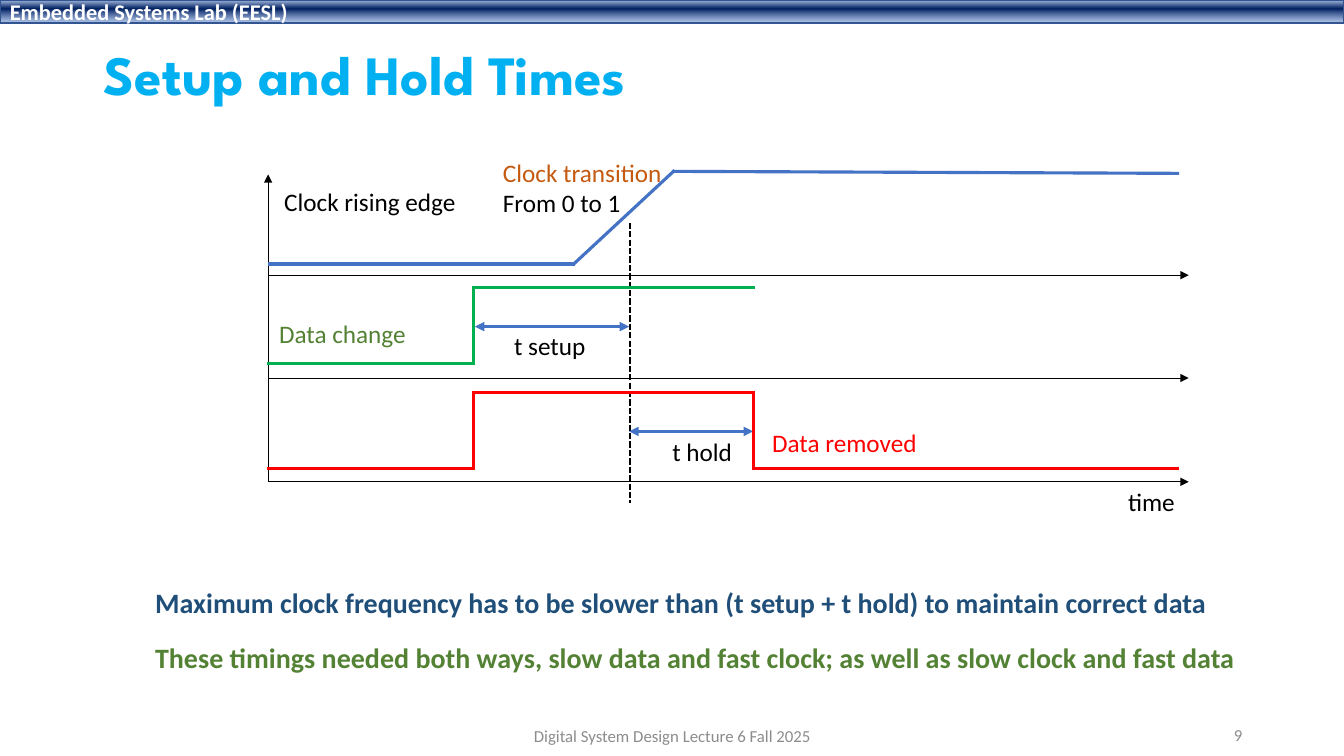
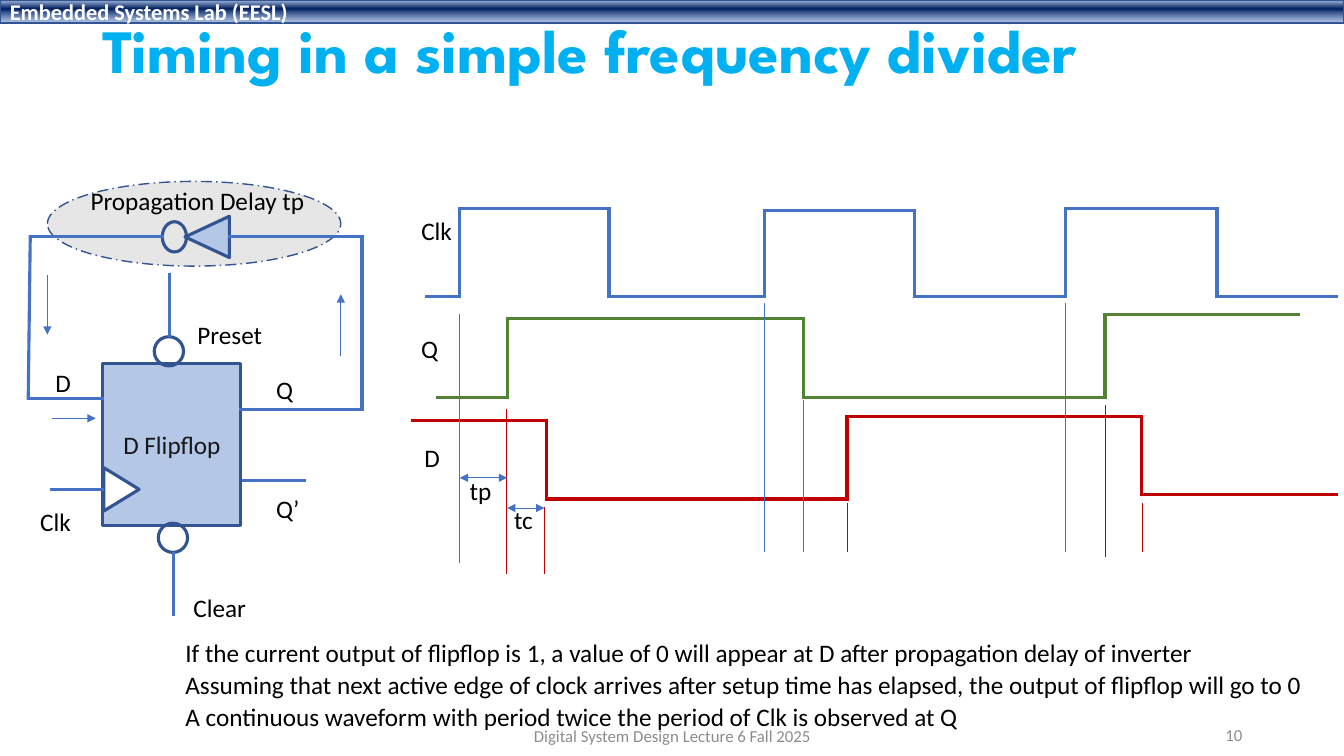
from copy import deepcopy
from itertools import pairwise

from lxml.etree import SubElement
from pptx import Presentation
from pptx.dml.color import RGBColor
from pptx.enum.dml import MSO_LINE_DASH_STYLE as DASH
from pptx.enum.shapes import MSO_CONNECTOR, MSO_SHAPE
from pptx.enum.text import MSO_ANCHOR as ANCHOR, MSO_AUTO_SIZE, PP_ALIGN as ALIGN
from pptx.oxml.ns import qn
from pptx.util import Inches, Pt

rgb = RGBColor.from_string

BLACK, WHITE, GREY = "000000", "FFFFFF", "8C8C8C"
BLUE, OUTLINE, PALE_BLUE, SKY = "4472C4", "325491", "B4C7E7", "00B0F0"
GREEN, LEAF, RED, DARK_RED = "00B050", "548235", "FF0000", "C00000"
THICK, THIN = 2.25, 0.5


def write_text(shape, text, size=18, color=BLACK, bold=False, font="Calibri",
               align=ALIGN.LEFT, anchor=ANCHOR.MIDDLE, wrap=True, spacing=1.0):
    frame = shape.text_frame
    frame.text = text
    frame.word_wrap = wrap
    frame.vertical_anchor = anchor
    frame.auto_size = MSO_AUTO_SIZE.NONE if wrap else MSO_AUTO_SIZE.SHAPE_TO_FIT_TEXT
    for paragraph in frame.paragraphs:
        paragraph.alignment = align
        paragraph.line_spacing = spacing
        for run in paragraph.runs:
            run.font.name, run.font.size, run.font.bold = font, Pt(size), bold
            run.font.color.rgb = rgb(color)


def draw_path(slide, points, color=BLUE, width=THICK, dash=None, arrows=()):
    """Join the points with straight lines; arrows names headEnd and/or tailEnd."""
    for start, end in pairwise(points):
        connector = slide.shapes.add_connector(
            MSO_CONNECTOR.STRAIGHT, *map(Inches, (*start, *end)))
        line = connector.line
        line.color.rgb = rgb(color)
        line.width = Pt(width)
        if dash:
            line.dash_style = dash
        properties = connector._element.spPr
        outline = properties.find(qn("a:ln"))
        if len(points) > 2:
            outline.set("cap", "sq")
        for arrow in arrows:
            SubElement(outline, qn(f"a:{arrow}"), type="triangle")
        SubElement(properties, qn("a:effectLst"))


presentation = Presentation()
presentation.slide_width = Inches(13.33)
presentation.slide_height = Inches(7.5)

# Band, title and footer of each slide
slides = []
for title, size, box, number in [
    ("Setup and Hold Times", 39.6, (0.93, 0.4, 11.5, 0.74), 9),
    ("Timing in a simple frequency divider", 44, (0.92, 0.15, 11.5, 0.77), 10),
]:
    slide = presentation.slides.add_slide(presentation.slide_layouts[6])
    slides.append(slide)

    band = slide.shapes.add_shape(MSO_SHAPE.RECTANGLE, 0, 0, Inches(13.33), Inches(0.23))
    band.shadow.inherit = False
    band.line.color.rgb = rgb(OUTLINE)
    band.line.width = Pt(1)
    band.fill.gradient()
    band.fill.gradient_angle = 270
    stop_list = band._element.spPr.find(f".//{qn('a:gsLst')}")
    stop_list.append(deepcopy(stop_list[-1]))
    for stop, position, color in zip(band.fill.gradient_stops, (0.02, 0.38, 0.93),
                                     ("ABC0E4", "002060", "7E9ED6")):
        stop.position = position
        stop.color.rgb = rgb(color)
    SubElement(stop_list[-1][0], qn("a:alpha"), val="64000")
    write_text(band, "Embedded Systems Lab (EESL)", size=16, color=WHITE, bold=True)

    title_box = slide.shapes.add_textbox(*map(Inches, box))
    write_text(title_box, title, size=size, color=SKY, bold=True,
               font="League Spartan", spacing=0.9)
    number_box = slide.shapes.add_textbox(*map(Inches, (9.42, 7.09, 3, 0.4)))
    write_text(number_box, str(number), size=12, color=GREY, align=ALIGN.RIGHT)
    footer_box = slide.shapes.add_textbox(*map(Inches, (4.42, 7.1, 4.5, 0.4)))
    write_text(footer_box, "Digital System Design Lecture 6 Fall 2025", size=12,
               color=GREY, align=ALIGN.CENTER)

setup_slide, divider_slide = slides

# Setup and hold: axes, clock edge and time spans
origin = (2.66, 4.78)
draw_path(setup_slide, [origin, (2.66, 1.73)], BLACK, THIN, arrows=["tailEnd"])
for y in (2.73, 3.75, 4.78):
    draw_path(setup_slide, [(2.66, y), (11.79, y)], BLACK, THIN, arrows=["tailEnd"])
draw_path(setup_slide, [(2.67, 2.62), (5.69, 2.62), (6.68, 1.7), (11.68, 1.72)])
draw_path(setup_slide, [(6.25, 2.21), (6.25, 4.99)], BLACK, 1.5, DASH.SQUARE_DOT)
for left, right, y in [(4.71, 6.24, 3.24), (6.24, 7.47, 4.28)]:
    draw_path(setup_slide, [(left, y), (right, y)], arrows=["headEnd", "tailEnd"])

# Square waves: each level holds between two neighbouring edges
for slide, color, edges, levels in [
    (setup_slide, GREEN, (2.66, 4.7, 7.47), (3.61, 2.85)),
    (setup_slide, RED, (2.66, 4.7, 7.47, 11.68), (4.65, 3.89, 4.65)),
    (divider_slide, BLUE, (4.23, 4.56, 6.04, 7.58, 9.07, 10.57, 12.07, 13.25),
     (2.94, 2.07, 2.94, 2.09, 2.94, 2.07, 2.94)),
    (divider_slide, LEAF, (4.34, 5.03, 7.97, 10.96, 12.88), (3.94, 3.16, 3.94, 3.12)),
    (divider_slide, DARK_RED, (4.09, 5.42, 8.4, 11.32, 13.25), (4.17, 4.95, 4.13, 4.91)),
]:
    points = []
    for (left, right), level in zip(pairwise(edges), levels):
        points += [(left, level), (right, level)]
    draw_path(slide, points, color)

# Divider: thin marker lines under the edges, delay spans
for x, top, bottom, color in [
    (4.56, 3.12, 5.59, BLUE), (7.58, 3.01, 5.48, BLUE),
    (7.97, 3.97, 5.48, BLUE), (10.57, 3.01, 5.48, BLUE),
    (5.02, 4.06, 5.69, DARK_RED), (5.4, 5.03, 5.69, DARK_RED),
    (8.4, 4.99, 5.48, DARK_RED), (10.96, 4.02, 5.53, DARK_RED),
    (11.33, 4.99, 5.48, DARK_RED),
]:
    draw_path(divider_slide, [(x, top), (x, bottom)], color, THIN)
for left, right, y in [(4.56, 5.03, 4.74), (5.03, 5.4, 5.04)]:
    draw_path(divider_slide, [(left, y), (right, y)], width=THIN,
              arrows=["headEnd", "tailEnd"])

# Divider: flipflop, inverter and their bubbles
ELLIPSE, TRIANGLE = MSO_SHAPE.OVAL, MSO_SHAPE.ISOSCELES_TRIANGLE
for kind, box, fill, rotation, width, dash, text in [
    (ELLIPSE, (0.47, 1.8, 2.91, 0.84), "E7E6E6", 0, 1, DASH.LONG_DASH_DOT, ""),
    (MSO_SHAPE.RECTANGLE, (1.02, 3.61, 1.37, 1.6), PALE_BLUE, 0, THICK, None, "D Flipflop"),
    (TRIANGLE, (0.99, 4.68, 0.43, 0.35), WHITE, 90, THICK, None, ""),
    (ELLIPSE, (1.53, 3.34, 0.29, 0.29), None, 0, THICK, None, ""),
    (ELLIPSE, (1.57, 5.19, 0.29, 0.29), None, 0, THICK, None, ""),
    (TRIANGLE, (1.85, 2.13, 0.41, 0.44), PALE_BLUE, 270, THICK, None, ""),
    (ELLIPSE, (1.61, 2.2, 0.24, 0.3), None, 0, THICK, None, ""),
]:
    shape = divider_slide.shapes.add_shape(kind, *map(Inches, box))
    shape.shadow.inherit = False
    shape.rotation = rotation
    shape.line.color.rgb = rgb(OUTLINE)
    shape.line.width = Pt(width)
    if dash:
        shape.line.dash_style = dash
    if fill:
        shape.fill.solid()
        shape.fill.fore_color.rgb = rgb(fill)
    else:
        shape.fill.background()
    if text:
        write_text(shape, text, color="181717", align=ALIGN.CENTER)

# Divider: wires and signal direction arrows
for wire in [
    [(2.39, 4.06), (3.59, 4.06), (3.59, 2.35), (2.28, 2.35)],
    [(1.61, 2.35), (0.3, 2.35), (0.28, 3.95), (1.02, 3.95)],
    [(0.5, 4.86), (1.03, 4.86)],
    [(2.4, 4.77), (3.04, 4.77)],
    [(1.68, 3.34), (1.68, 2.71)],
    [(1.72, 6.11), (1.72, 5.48)],
]:
    draw_path(divider_slide, wire)
for arrow in [
    [(3.38, 3.53), (3.38, 2.92)],
    [(0.47, 2.73), (0.47, 3.32)],
    [(0.52, 4.15), (0.95, 4.15)],
]:
    draw_path(divider_slide, arrow, width=THIN, arrows=["tailEnd"])

# Labels
setup_labels = [
    ("Clock rising edge", 2.72, 1.8, 1.92, BLACK),
    ("Clock transition", 4.89, 1.51, 1.79, "C55A11"),
    ("From 0 to 1", 4.89, 1.81, 1.37, BLACK),
    ("Data change", 2.67, 3.11, 1.47, LEAF),
    ("Data removed", 7.56, 4.19, 1.65, RED),
    ("t setup", 5, 3.23, 0.92, BLACK),
    ("t hold", 6.57, 4.28, 0.8, BLACK),
    ("time", 11.09, 4.78, 0.67, BLACK),
]
divider_labels = [
    ("Clk", 4.08, 2.09, 0.51, BLACK),
    ("Q", 4.08, 3.26, 0.37, BLACK),
    ("D", 4.11, 4.34, 0.36, BLACK),
    ("tp", 4.56, 4.67, 0.42, BLACK),
    ("tc", 5, 4.95, 0.39, BLACK),
    ("Propagation Delay tp", 0.8, 1.79, 2.35, BLACK),
    ("Preset", 1.86, 3.12, 0.85, BLACK),
    ("D", 0.45, 3.59, 0.36, BLACK),
    ("Q", 2.64, 3.66, 0.37, BLACK),
    ("Q’", 2.64, 4.84, 0.44, BLACK),
    ("Clk", 0.3, 4.97, 0.51, BLACK),
    ("Clear", 1.82, 5.83, 0.73, BLACK),
]
for slide, labels in zip(slides, (setup_labels, divider_labels)):
    for text, x, y, width, color in labels:
        label = slide.shapes.add_textbox(*map(Inches, (x, y, width, 0.4)))
        write_text(label, text, color=color, anchor=ANCHOR.TOP, wrap=False)

# Conclusions
for text, y, width, color in [
    ("Maximum clock frequency has to be slower than (t setup + t hold) "
     "to maintain correct data", 5.76, 10.71, "1F4E79"),
    ("These timings needed both ways, slow data and fast clock; "
     "as well as slow clock and fast data", 6.31, 11, LEAF),
]:
    conclusion = setup_slide.shapes.add_textbox(*map(Inches, (1.44, y, width, 0.44)))
    write_text(conclusion, text, size=20, color=color, bold=True,
               anchor=ANCHOR.TOP, wrap=False)
for row, (text, width) in enumerate([
    ("If the current output of flipflop is 1, a value of 0 will appear at D "
     "after propagation delay of inverter", 10.33),
    ("Assuming that next active edge of clock arrives after setup time has elapsed, "
     "the output of flipflop will go to 0", 11.42),
    ("A continuous waveform with period twice the period of Clk is observed at Q", 7.96),
]):
    conclusion = divider_slide.shapes.add_textbox(
        *map(Inches, (1.74, 6.27 + 0.32 * row, width, 0.4)))
    write_text(conclusion, text, anchor=ANCHOR.TOP, wrap=False)

presentation.save("out.pptx")
